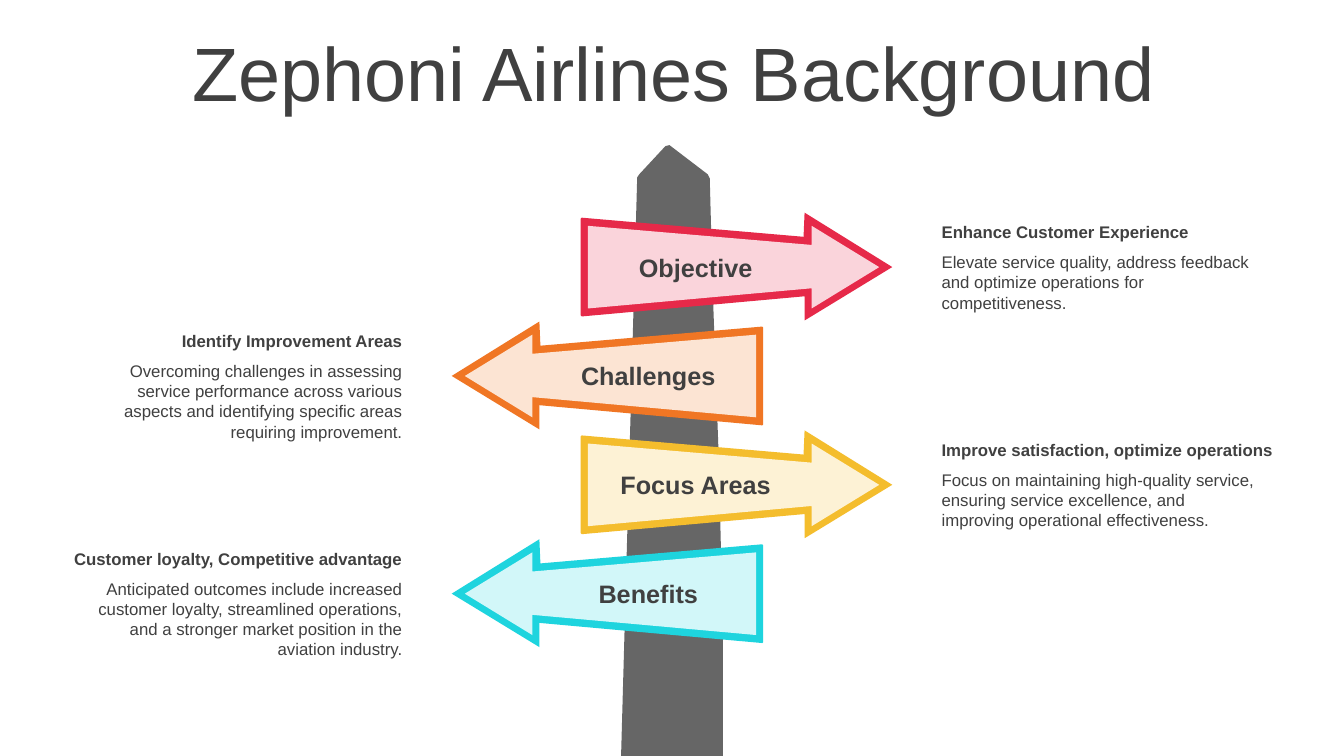
import dataclasses
import typing

import pptx
import pptx.dml.color
import pptx.enum.text
import pptx.util

Inches = pptx.util.Inches
Align = pptx.enum.text.PP_ALIGN
Anchor = pptx.enum.text.MSO_ANCHOR
Fit = pptx.enum.text.MSO_AUTO_SIZE
Points = typing.Sequence[tuple[float, float]]

WIDE, HIGH = 13.33, 7.5
FIRST, PITCH = 2.65, 1.08
COLORS = {
    "text": "404040",
    "post": "666666",
    "red": "E62949",
    "pink": "FAD4DB",
    "orange": "F07624",
    "peach": "FCE4D3",
    "gold": "F4BD2D",
    "cream": "FDF2D5",
    "teal": "1ED4DE",
    "ice": "D2F7F9",
}
FORMATS = {
    "title": {"size": pptx.util.Pt(54), "bold": False},
    "label": {"size": pptx.util.Pt(18), "bold": True},
    "head": {"size": pptx.util.Pt(12), "bold": True},
    "body": {"size": pptx.util.Pt(12), "bold": False},
}
POST = [
    (6.32, 1.76), (6.34, 1.73), (6.6, 1.45), (6.64, 1.44), (7.02, 1.73),
    (7.04, 1.77), (7.07, 2.9), (7.13, 4.57), (7.17, 6.27), (7.17, 7.5), (6.16, 7.5),
]
RIM = [
    (5.76, -0.48), (5.77, -0.49), (7.97, -0.3), (7.98, -0.54), (8.85, 0),
    (7.98, 0.53), (7.98, 0.29), (5.77, 0.49), (5.76, 0.48),
]
FACE = [
    (5.83, -0.41), (8.05, -0.22), (8.05, -0.41), (8.72, 0),
    (8.05, 0.41), (8.05, 0.21), (5.83, 0.41),
]


@dataclasses.dataclass(frozen=True)
class Sign:
    label: str
    head: str
    body: str
    rim: str
    face: str
    left: bool
    wide: float
    tall: float


SIGNS = [
    Sign("Objective", "Enhance Customer Experience",
         "Elevate service quality, address feedback and optimize operations for competitiveness.",
         "red", "pink", False, 3.38, 0.71),
    Sign("Challenges", "Identify Improvement Areas",
         "Overcoming challenges in assessing service performance across various aspects "
         "and identifying specific areas requiring improvement.",
         "orange", "peach", True, 3.71, 0.91),
    Sign("Focus Areas", "Improve satisfaction, optimize operations",
         "Focus on maintaining high-quality service, ensuring service excellence, "
         "and improving operational effectiveness.",
         "gold", "cream", False, 3.52, 0.71),
    Sign("Benefits", "Customer loyalty, Competitive advantage",
         "Anticipated outcomes include increased customer loyalty, streamlined operations, "
         "and a stronger market position in the aviation industry.",
         "teal", "ice", True, 3.71, 0.91),
]


def paint(name: str) -> pptx.dml.color.RGBColor:
    return pptx.dml.color.RGBColor.from_string(COLORS[name])


def draw_shape(shapes: typing.Any, points: Points, color: str) -> None:
    spots = [(Inches(x), Inches(y)) for x, y in points]
    pen = shapes.build_freeform(*spots[0], scale=1.0)
    pen.add_line_segments(spots[1:], close=True)
    shape = pen.convert_to_shape()
    shape.shadow.inherit = False
    shape.fill.solid()
    shape.fill.fore_color.rgb = paint(color)
    shape.line.fill.background()


def draw_text(shapes: typing.Any, words: str, x: float, y: float, wide: float,
              tall: float, style: str, align: Align) -> typing.Any:
    box = shapes.add_textbox(Inches(x), Inches(y), Inches(wide), Inches(tall))
    frame = box.text_frame
    frame.word_wrap = True
    frame.auto_size = Fit.SHAPE_TO_FIT_TEXT
    line = frame.paragraphs[0]
    line.alignment = align
    run = line.add_run()
    run.text = words
    for key, value in {"name": "Arial", **FORMATS[style]}.items():
        setattr(run.font, key, value)
    run.font.color.rgb = paint("text")
    return frame


def draw_sign(shapes: typing.Any, sign: Sign, mid: float) -> None:
    def place(x: float, wide: float = 0) -> float:
        return WIDE - x - wide if sign.left else x

    arrow = shapes.add_group_shape().shapes
    for points, color in ((RIM, sign.rim), (FACE, sign.face)):
        draw_shape(arrow, [(place(x), mid + y) for x, y in points], color)
    draw_text(shapes, sign.label, place(5.83, 2.14), mid - 0.2, 2.14, 0.4,
              "label", Align.CENTER)
    note = shapes.add_group_shape().shapes
    side = Align.RIGHT if sign.left else Align.LEFT
    draw_text(note, sign.body, place(9.24, 3.38), mid - 0.2, 3.38, sign.tall, "body", side)
    draw_text(note, sign.head, place(9.24, sign.wide), mid - 0.5, sign.wide, 0.3,
              "head", side)


def main() -> None:
    deck = pptx.Presentation()
    deck.slide_width, deck.slide_height = Inches(WIDE), Inches(HIGH)
    shapes = deck.slides.add_slide(deck.slide_layouts[6]).shapes
    draw_shape(shapes, POST, "post")
    title = draw_text(shapes, "Zephoni Airlines Background", 0.35, 0.37, 12.66, 0.79,
                      "title", Align.CENTER)
    title.auto_size = Fit.NONE
    title.vertical_anchor = Anchor.MIDDLE
    title.paragraphs[0].line_spacing = 0.9
    for row, sign in enumerate(SIGNS):
        draw_sign(shapes, sign, FIRST + row * PITCH)
    deck.save("out.pptx")


if __name__ == "__main__":
    main()
